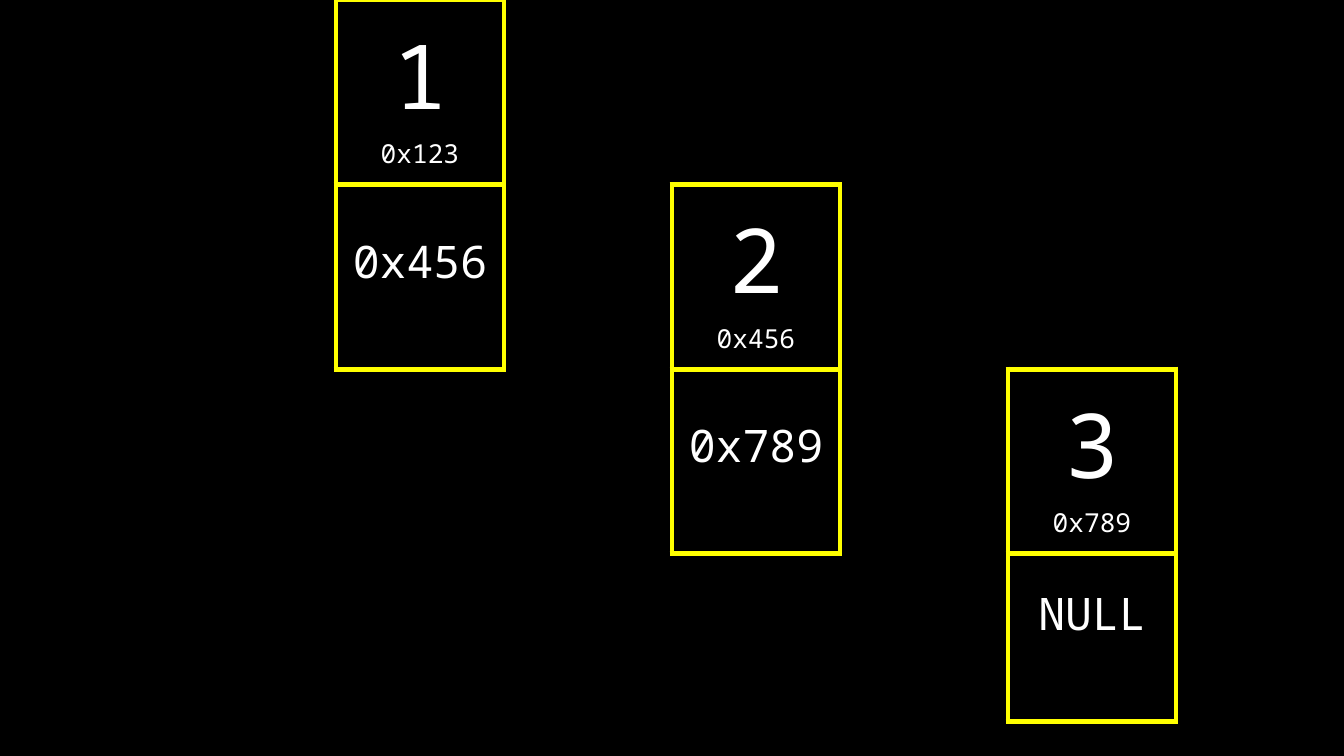
import pptx
import pptx.util
import pptx.dml.color
import pptx.enum.text
from lxml import etree
from pptx.oxml.ns import qn

# Each node: value, own address, next address
NODES = [
    ("1", "0x123", "0x456"),
    ("2", "0x456", "0x789"),
    ("3", "0x789", "NULL"),
]
COLORS = {"back": "000000", "line": "FFFF00", "text": "FFFFFF"}
FONT = "Noto Sans Mono"
WIDTH = 10
HEIGHT = WIDTH * 9 / 16
COLS, ROWS = 8, 5
SIDE = WIDTH / COLS
FIRST, STEP = 2, 2  # column of the first node, columns between nodes
LINE = 3
SIDES = {"lnL": (0, -1), "lnR": (0, 1), "lnT": (-1, 0), "lnB": (1, 0)}

inch = pptx.util.Inches
rgb = pptx.dml.color.RGBColor.from_string
anchors = pptx.enum.text.MSO_ANCHOR


def edge(props, side, color):
    """Add one cell border, or an empty one when color is None."""
    line = etree.SubElement(props, qn("a:" + side))
    if color:
        line.set("w", str(pptx.util.Pt(LINE)))
        fill = etree.SubElement(line, qn("a:solidFill"))
        etree.SubElement(fill, qn("a:srgbClr"), val=color)
    else:
        etree.SubElement(line, qn("a:noFill"))


def write(cell, lines, anchor, bottom):
    frame = cell.text_frame
    for i, (text, size) in enumerate(lines):
        para = frame.add_paragraph() if i else frame.paragraphs[0]
        para.text = text
        para.alignment = pptx.enum.text.PP_ALIGN.CENTER
        para.font.name = FONT
        para.font.size = pptx.util.Pt(size)
        para.font.color.rgb = rgb(COLORS["text"])
    cell.vertical_anchor = anchor
    cell.margin_left = cell.margin_right = cell.margin_top = inch(0.1)
    cell.margin_bottom = inch(bottom)


# Place each node one row lower and two columns further right
boxes = {}
for i, (value, own, link) in enumerate(NODES):
    col = FIRST + i * STEP
    boxes[i, col] = ([(value, 48), (own, 14)], anchors.MIDDLE, 0.1)
    boxes[i + 1, col] = ([(link, 24)], anchors.BOTTOM, 0.58)

deck = pptx.Presentation()
deck.slide_width, deck.slide_height = inch(WIDTH), inch(HEIGHT)
slide = deck.slides.add_slide(deck.slide_layouts[6])
slide.background.fill.solid()
slide.background.fill.fore_color.rgb = rgb(COLORS["back"])

table = slide.shapes.add_table(
    ROWS, COLS, 0, 0, inch(WIDTH), inch(ROWS * SIDE)).table
table.first_row = table.horz_banding = False

for row in range(ROWS):
    for col in range(COLS):
        cell = table.cell(row, col)
        props = cell._tc.get_or_add_tcPr()
        for side, (down, right) in SIDES.items():
            lit = (row, col) in boxes or (row + down, col + right) in boxes
            edge(props, side, COLORS["line"] if lit else None)
        cell.fill.background()
        if (row, col) in boxes:
            write(cell, *boxes[row, col])

deck.save("out.pptx")
